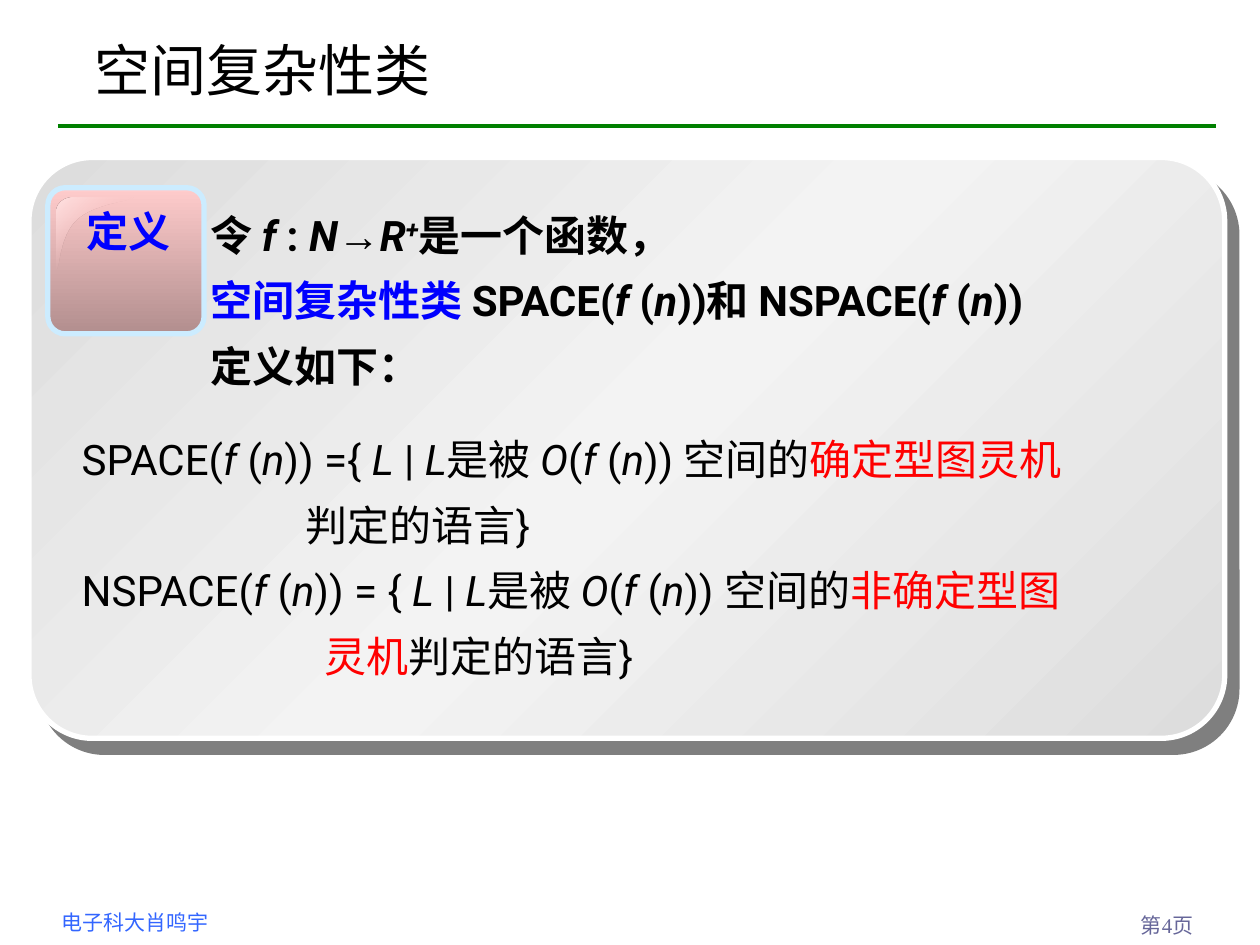
from lxml import etree
from pptx import Presentation
from pptx import util as u
from pptx.dml.color import RGBColor
from pptx.enum import shapes, text
from pptx.oxml.ns import qn

COLORS = {
    "black": "000000", "white": "FFFFFF", "blue": "0000FF", "red": "FF0000",
    "rule": "008000", "author": "3366FF", "page": "666699",
    "panel_edge": "DDDDDD", "panel_mid": "F3F3F3",
    "badge_top": "FFCCCC", "badge_bottom": "B28E8E", "badge_line": "CCECFF",
    "gloss": "FFE3E3",
}
CJK = "Noto Sans CJK SC"

# Runs are (text, options); options override the style of their box.
ITALIC = {"italic": True}
F_OF_N = [("f ", ITALIC), ("(", {}), ("n", ITALIC)]
SET_OF_L = [("L", ITALIC), (" | ", {}), ("L", ITALIC), ("是被 ", {}),
            ("O", ITALIC), ("(", {}), *F_OF_N, (")) 空间的", {})]

DEFINITION = [
    [("令 ", {}), ("f ", ITALIC), (": ", {}), ("N", ITALIC),
     ("→", {"font": "Arial"}), ("R", ITALIC),
     ("+", {"italic": True, "raised": True}), ("是一个函数，", {})],
    [("空间复杂性类 ", {"color": "blue"}), ("SPACE(", {}), *F_OF_N,
     ("))和 NSPACE(", {}), *F_OF_N, ("))", {})],
    [("定义如下：", {})],
]
CLASSES = [
    [("SPACE(", {}), *F_OF_N, (")) ={ ", {}), *SET_OF_L,
     ("确定型图灵机", {"color": "red"})],
    [("判定的语言}", {})],
    [("NSPACE(", {}), *F_OF_N, (")) = { ", {}), *SET_OF_L,
     ("非确定型图", {"color": "red"})],
    [("灵机", {"color": "red"}), ("判定的语言}", {})],
]


def rgb(name):
    return RGBColor.from_string(COLORS[name])


def add_run(paragraph, words, size, font="Roboto", color="black",
            bold=False, italic=False, raised=False):
    run = paragraph.add_run()
    run.text = words
    run.font.size = u.Pt(size)
    run.font.name = font
    run.font.bold = bold
    run.font.italic = italic
    run.font.color.rgb = rgb(color)
    properties = run._r.get_or_add_rPr()
    if raised:
        properties.set("baseline", "30000")
    east_asian = etree.SubElement(properties, qn("a:ea"))
    east_asian.set("typeface", CJK)


def add_text(slide, box, paragraphs, align=text.PP_ALIGN.LEFT,
             line_spacing=None, space_before=0, indents=(), **style):
    frame = slide.shapes.add_textbox(*map(u.Inches, box)).text_frame
    frame.word_wrap = True
    for number, runs in enumerate(paragraphs):
        paragraph = frame.add_paragraph() if number else frame.paragraphs[0]
        paragraph.alignment = align
        paragraph.line_spacing = line_spacing
        paragraph.space_before = u.Pt(space_before if number else 0)
        if indents and indents[number]:
            properties = paragraph._p.get_or_add_pPr()
            properties.set("marL", str(u.Inches(indents[number])))
            properties.set("indent", "0")
        for words, options in runs:
            add_run(paragraph, words, **{**style, **options})


def fill_gradient(shape, stops, angle):
    """Stops are (percent, colour name, opacity percent)."""
    shape.fill.gradient()
    gradient = shape._element.spPr.find(qn("a:gradFill"))
    stop_list = gradient.find(qn("a:gsLst"))
    for stop in list(stop_list):
        stop_list.remove(stop)
    for position, color, opacity in stops:
        stop = etree.SubElement(stop_list, qn("a:gs"), pos=str(position * 1000))
        tint = etree.SubElement(stop, qn("a:srgbClr"), val=COLORS[color])
        if opacity < 100:
            etree.SubElement(tint, qn("a:alpha"), val=str(opacity * 1000))
    gradient.find(qn("a:lin")).set("ang", str(angle * 60000))


def add_rounded(slide, box, corner, line, stops, angle):
    shape = slide.shapes.add_shape(
        shapes.MSO_SHAPE.ROUNDED_RECTANGLE, *map(u.Inches, box))
    shape.adjustments[0] = corner
    shape.shadow.inherit = False
    fill_gradient(shape, stops, angle)
    shape.line.color.rgb = rgb(line)
    shape.line.width = u.Pt(3)
    return shape


def add_hard_shadow(shape, distance, angle):
    effects = shape._element.spPr.find(qn("a:effectLst"))
    shadow = etree.SubElement(
        effects, qn("a:outerShdw"), blurRad="0", dist=str(u.Pt(distance)),
        dir=str(angle * 60000), algn="ctr", rotWithShape="0")
    tint = etree.SubElement(shadow, qn("a:srgbClr"), val=COLORS["black"])
    etree.SubElement(tint, qn("a:alpha"), val="50000")


def curve(start, control_1, control_2, end, steps=12):
    """Points along a cubic curve, without its start."""
    points = []
    for step in range(1, steps + 1):
        t = step / steps
        weights = ((1 - t) ** 3, 3 * t * (1 - t) ** 2, 3 * t * t * (1 - t), t ** 3)
        corners = (start, control_1, control_2, end)
        points.append(tuple(sum(w * c[axis] for w, c in zip(weights, corners))
                            for axis in (0, 1)))
    return points


def add_gloss(slide):
    top, left, bottom = (0.58, 1.57), (0.45, 1.68), (0.45, 2.14)
    middle, tip = (0.62, 1.74), (1.06, 1.57)
    outline = [
        *curve(top, (0.51, 1.57), (0.45, 1.62), left),
        bottom,
        *curve(bottom, (0.48, 2.15), (0.47, 1.87), middle),
        *curve(middle, (0.77, 1.61), (1.07, 1.6), tip),
    ]
    builder = slide.shapes.build_freeform(*map(u.Inches, top))
    builder.add_line_segments([tuple(map(u.Inches, point)) for point in outline])
    gloss = builder.convert_to_shape()
    gloss.shadow.inherit = False
    gloss.line.fill.background()
    fill_gradient(gloss, [(0, "gloss", 100), (50, "badge_top", 0),
                          (100, "gloss", 100)], 45)


def add_rule(slide):
    rule = slide.shapes.add_connector(
        shapes.MSO_CONNECTOR.STRAIGHT,
        *map(u.Inches, (0.46, 1, 9.65, 1)))
    rule.line.color.rgb = rgb("rule")
    rule.line.width = u.Pt(2.25)
    etree.SubElement(rule._element.spPr, qn("a:effectLst"))


def set_title(slide, words):
    title = slide.shapes.title
    title.left, title.top, title.width, title.height = map(
        u.Inches, (0.65, 0.21, 8.83, 0.67))
    title.text_frame.vertical_anchor = text.MSO_ANCHOR.MIDDLE
    paragraph = title.text_frame.paragraphs[0]
    paragraph.alignment = text.PP_ALIGN.LEFT
    add_run(paragraph, words, 32, font=CJK)


def main():
    deck = Presentation()
    deck.slide_width, deck.slide_height = u.Inches(10), u.Inches(7.5)
    slide = deck.slides.add_slide(deck.slide_layouts[5])

    # Footer, header rule and title
    add_text(slide, (0.39, 7.17, 2.01, 0.3), [[("电子科大肖鸣宇", {})]],
             size=12, font="Arial", color="author")
    add_rule(slide)
    add_text(slide, (8.7, 7.19, 0.87, 0.31), [[("第4页", {})]],
             align=text.PP_ALIGN.RIGHT,
             size=12, font="Times New Roman", color="page")
    set_title(slide, "空间复杂性类")

    # Panel with its shadow
    panel = add_rounded(slide, (0.23, 1.25, 9.49, 4.61), 0.109, "white",
                        [(0, "panel_edge", 100), (50, "panel_mid", 100),
                         (100, "panel_edge", 100)], 45)
    add_hard_shadow(panel, 10.6, 49)

    # Definition badge
    add_rounded(slide, (0.38, 1.49, 1.24, 1.16), 0.119, "badge_line",
                [(0, "badge_top", 100), (100, "badge_bottom", 100)], 90)
    add_gloss(slide)
    add_text(slide, (0.55, 1.58, 0.94, 0.5), [[("定义", {})]],
             align=text.PP_ALIGN.CENTER,
             size=24, font="Times New Roman", color="blue", bold=True)

    # Definition and the two classes
    spacing = {"line_spacing": 1.15, "space_before": 4.5}
    add_text(slide, (1.57, 1.55, 8.05, 1.61), DEFINITION,
             size=24, bold=True, **spacing)
    add_text(slide, (0.55, 3.33, 8.98, 2.13), CLASSES,
             indents=(0, 1.78, 0, 1.93), size=24, **spacing)

    deck.save("out.pptx")


if __name__ == "__main__":
    main()
